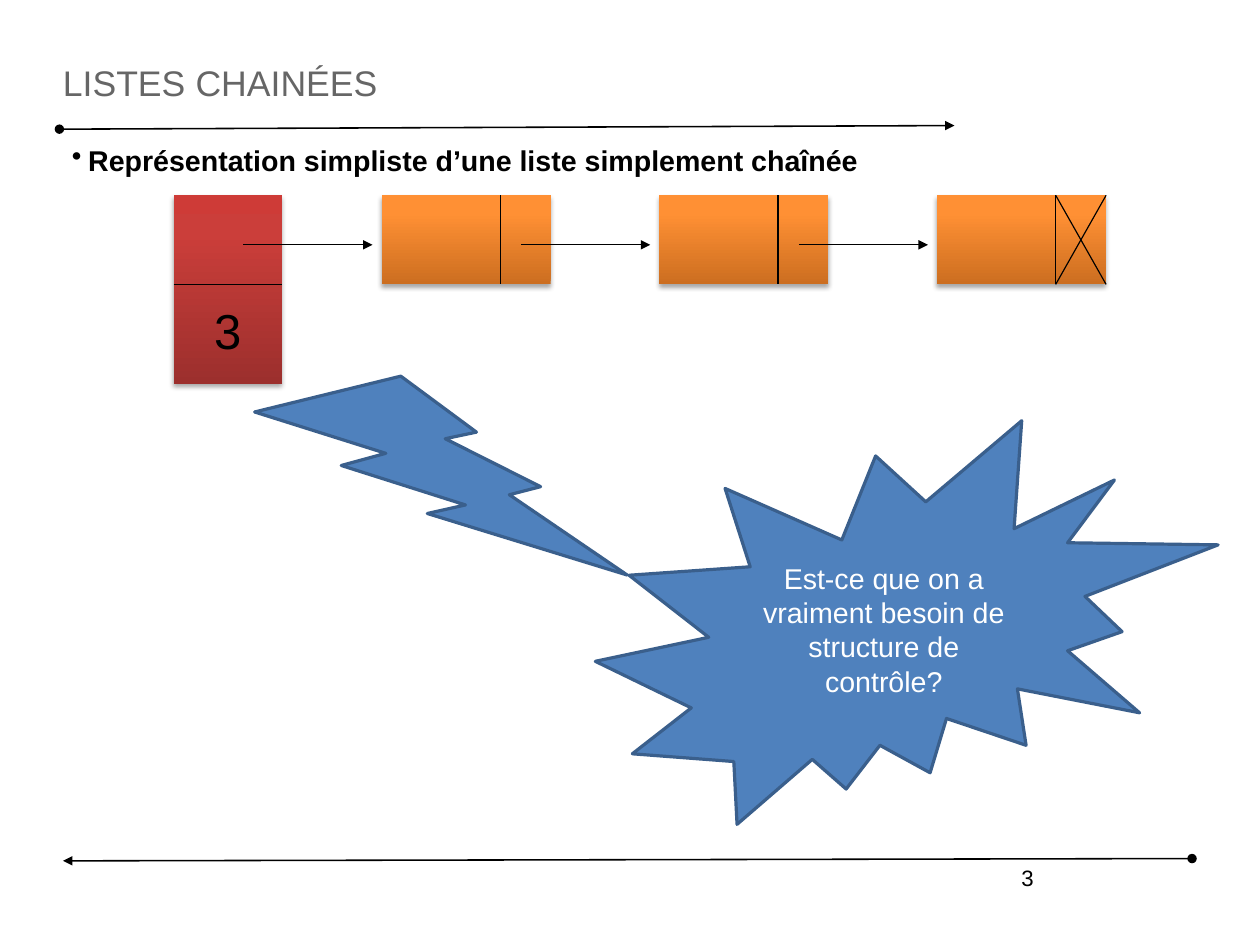
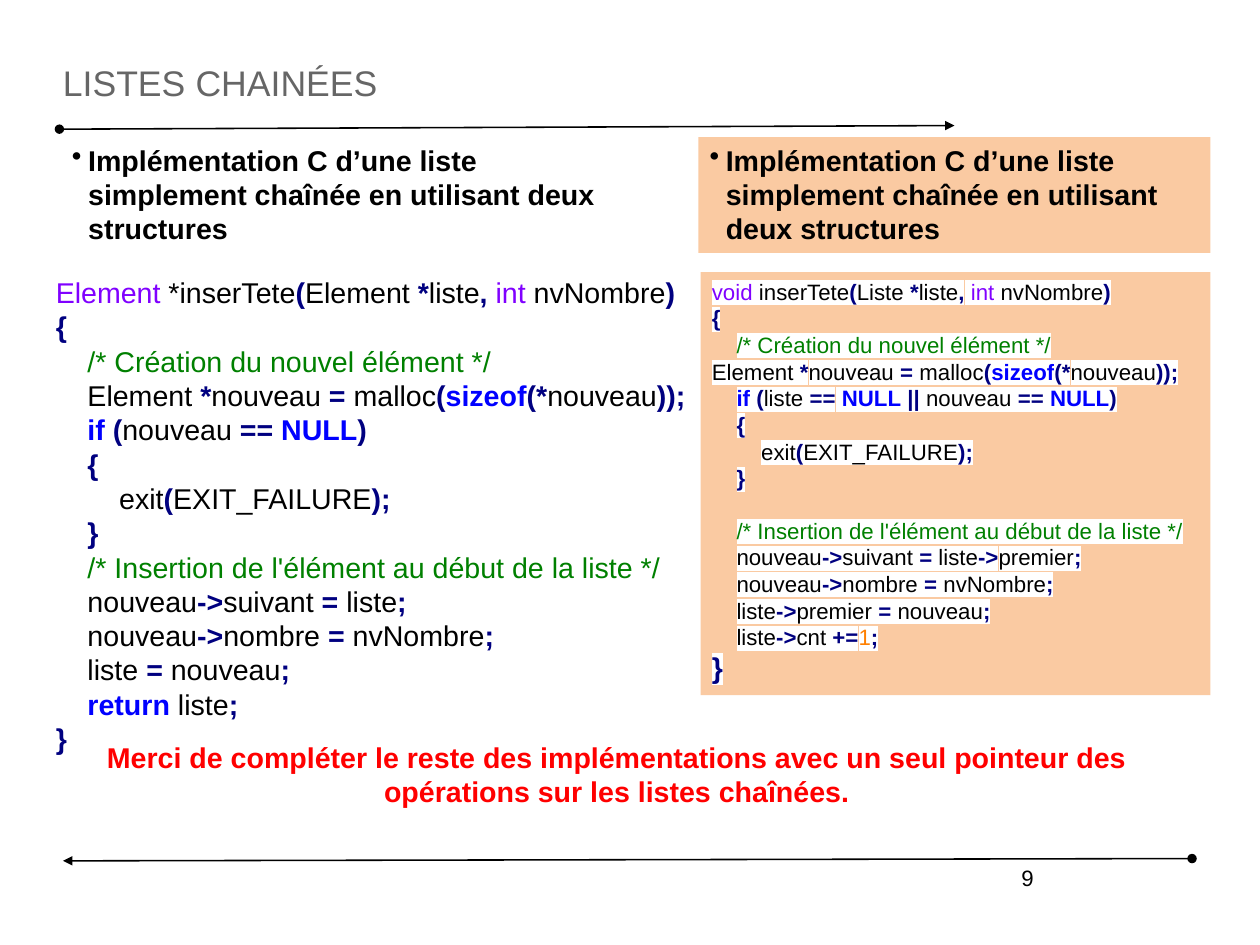
import copy
import itertools

import lxml.etree
import pptx
import pptx.dml.color
import pptx.enum.shapes
import pptx.enum.text
import pptx.oxml.ns
import pptx.util

Cm, Pt = pptx.util.Cm, pptx.util.Pt
hue = pptx.dml.color.RGBColor.from_string
qn = pptx.oxml.ns.qn
add = lxml.etree.SubElement
Kind = pptx.enum.shapes.MSO_SHAPE
Align = pptx.enum.text.PP_ALIGN
Anchor = pptx.enum.text.MSO_ANCHOR

FONT = "Arial"
BLACK, WHITE, GREY, RED = "000000", "FFFFFF", "666666", "FF0000"
BLUE, EDGE, PEACH = "4F81BD", "3A5F8C", "F79646"
TYPE, WORD, SIGN, NOTE, DIGIT = "8000FF", "0000FF", "000080", "008000", "FF8000"


def rule(page, ends, width=0.75, head=None, tail=None):
    """Draw a straight black line; ends is x1, y1, x2, y2 in cm."""
    line = page.shapes.add_connector(
        pptx.enum.shapes.MSO_CONNECTOR.STRAIGHT, *map(Cm, ends))
    line.line.width = Pt(width)
    line.line.color.rgb = hue(BLACK)
    props = line._element.spPr
    for tag, tip in (("a:headEnd", head), ("a:tailEnd", tail)):
        if tip:
            add(props.find(qn("a:ln")), qn(tag), type=tip)
    add(props, qn("a:effectLst"))


def write(shape, text, size, color=BLACK, bold=False, align=Align.LEFT):
    """Fill a shape with one wrapped paragraph and return that paragraph."""
    frame = shape.text_frame
    frame.text = text
    frame.word_wrap = True
    para = frame.paragraphs[0]
    para.alignment = align
    font = para.runs[0].font
    font.name, font.size, font.bold = FONT, Pt(size), bold
    font.color.rgb = hue(color)
    return para


deck = pptx.Presentation()
deck.slide_width, deck.slide_height = Cm(28), Cm(21)

# Shared title, rules and page number
pages = []
for number in ("3", "9"):
    page = deck.slides.add_slide(deck.slide_layouts[6])
    pages.append(page)
    rule(page, (1.32, 2.87, 21.21, 2.79), 1, "oval", "triangle")
    rule(page, (26.49, 19.08, 1.4, 19.13), 1, "oval", "triangle")
    box = page.shapes.add_textbox(Cm(16.69), Cm(19.08), Cm(6.53), Cm(1.45))
    write(box, number, 14, align=Align.RIGHT)
    box = page.shapes.add_textbox(Cm(1.4), Cm(0.84), Cm(25.2), Cm(1.83))
    title = write(box, "listes chainées", 28, GREY)
    title.runs[0].font._element.set("cap", "small")
    frame = box.text_frame
    frame.vertical_anchor = Anchor.MIDDLE
    frame.margin_left = frame.margin_right = 0
    frame.margin_top = frame.margin_bottom = 0
draw, code = pages

# Bulleted headings
both = "Implémentation C d’une liste simplement chaînée en utilisant deux structures"
heads = (
    (draw, 1.35, 25.12, 1.02, None,
     "Représentation simpliste d’une liste simplement chaînée"),
    (code, 1.35, 12.9, 2.57, None, both),
    (code, 15.52, 11.38, 2.57, PEACH, both),
)
for page, left, width, high, fill, text in heads:
    box = page.shapes.add_textbox(Cm(left), Cm(3.05), Cm(width), Cm(high))
    if fill:
        box.fill.solid()
        box.fill.fore_color.rgb = hue(fill)
        tint = box._element.spPr.find(".//" + qn("a:srgbClr"))
        add(tint, qn("a:alpha"), val="50000")
    props = write(box, text, 18, bold=True)._p.get_or_add_pPr()
    props.set("marL", str(Cm(0.36)))
    props.set("indent", str(-Cm(0.36)))
    add(props, qn("a:buChar"), char="•")

# Linked list: control block, then three cells
TOP, HIGH, WIDE, PART = 4.34, 1.98, 3.76, 2.64
cells = [8.48 + 6.17 * i for i in range(3)]
reds = ("9C2F2D", "CB3E3A", "CE3B37")
oranges = ("CC6E20", "FF9034", "FF9136")
blocks = [(3.86, 2.41, 4.19, reds)]
blocks += [(x, WIDE, HIGH, oranges) for x in cells]
for left, width, high, tones in blocks:
    box = draw.shapes.add_shape(
        Kind.RECTANGLE, Cm(left), Cm(TOP), Cm(width), Cm(high))
    box.line.fill.background()
    box.fill.gradient()
    box.fill.gradient_angle = 90
    props = box._element.spPr
    stops = props.find(".//" + qn("a:gsLst"))
    stops.append(copy.deepcopy(stops[0]))
    for stop, tone, place in zip(box.fill.gradient_stops, tones, (0, 0.8, 1)):
        stop.color.rgb = hue(tone)
        stop.position = place
    box.shadow.inherit = False
    shade = add(props.find(qn("a:effectLst")), qn("a:outerShdw"),
                blurRad=str(Pt(3.1)), dist=str(Pt(1.8)), dir="5400000",
                rotWithShape="0")
    add(add(shade, qn("a:srgbClr"), val=BLACK), qn("a:alpha"), val="35000")

low = TOP + HIGH
rule(draw, (3.86, low, 6.27, low))
for x in cells:
    rule(draw, (x + PART, TOP, x + PART, low))
    rule(draw, (x - 3.07, 5.44, x - 0.2, 5.44), tail="triangle")
start, end = cells[-1] + PART, cells[-1] + WIDE
rule(draw, (start, low, end, TOP))
rule(draw, (start, TOP, end, low))
box = draw.shapes.add_textbox(Cm(4.52), Cm(6.55), Cm(1.32), Cm(1.57))
write(box, "3", 30.9)

# Question burst and its bolt
bursts = (
    (Kind.EXPLOSION2, 13.23, 9.35, 13.84, 8.97,
     "Est-ce que on a vraiment besoin de structure de contrôle?"),
    (Kind.LIGHTNING_BOLT, 5.66, 8.36, 8.28, 4.42, None),
)
for kind, *place, text in bursts:
    burst = draw.shapes.add_shape(kind, *map(Cm, place))
    burst.shadow.inherit = False
    burst.fill.solid()
    burst.fill.fore_color.rgb = hue(BLUE)
    burst.line.color.rgb = hue(EDGE)
    burst.line.width = Pt(2)
    if text:
        write(burst, text, 18, WHITE, align=Align.CENTER)
        burst.text_frame.vertical_anchor = Anchor.MIDDLE

# Code listings
single = """Element *inserTete(Element *liste, int nvNombre)
{
    /* Création du nouvel élément */
    Element *nouveau = malloc(sizeof(*nouveau));
    if (nouveau == NULL)
    {
        exit(EXIT_FAILURE);
    }
    /* Insertion de l'élément au début de la liste */
    nouveau->suivant = liste;
    nouveau->nombre = nvNombre;
    liste = nouveau;
    return liste;
}"""
double = """void inserTete(Liste *liste, int nvNombre)
{
    /* Création du nouvel élément */
Element *nouveau = malloc(sizeof(*nouveau));
    if (liste == NULL || nouveau == NULL)
    {
        exit(EXIT_FAILURE);
    }

    /* Insertion de l'élément au début de la liste */
    nouveau->suivant = liste->premier;
    nouveau->nombre = nvNombre;
    liste->premier = nouveau;
    liste->cnt +=1;
}"""
lists = (
    (single, 18, None, (0.99, 5.99, 14.63, 11.02)),
    (double, 14, PEACH, (15.57, 6.05, 11.33, 9.4)),
)
for text, size, fill, place in lists:
    box = code.shapes.add_textbox(*map(Cm, place))
    if fill:
        box.fill.solid()
        box.fill.fore_color.rgb = hue(fill)
        tint = box._element.spPr.find(".//" + qn("a:srgbClr"))
        add(tint, qn("a:alpha"), val="50000")
    frame = box.text_frame
    frame.word_wrap = True
    rows = text.split("\n")
    gap = False
    for r, row in enumerate(rows):
        body = row.strip()
        if not body:
            gap = True
            continue
        para = frame.add_paragraph() if r else frame.paragraphs[0]
        if gap:
            para.space_before = Pt(size * 1.15)
            gap = False
        # Four spaces of Arial are 1.11 em wide
        depth = (len(row) - len(body)) // 4
        props = para._p.get_or_add_pPr()
        props.set("marL", str(Pt(depth * size * 1.11)))
        props.set("indent", "0")

        if body.startswith("/*"):
            parts = [body]
        else:
            groups = itertools.groupby(
                body, lambda c: "w" if c.isalnum() or c == "_" else c.isspace())
            parts = ["".join(g) for _, g in groups]
        for i, part in enumerate(parts):
            color, bold = BLACK, False
            if part.startswith("/*"):
                color = NOTE
            elif part == "int" or (r, i) == (0, 0) :
                color = TYPE
            elif part in ("if", "sizeof", "return", "NULL"):
                color, bold = WORD, True
            elif part.isdigit():
                color = DIGIT
            elif (r, i) != (0, 2) and not (part[0].isalnum() or part.isspace()):
                color, bold = SIGN, True
            run = para.add_run()
            run.text = part
            font = run.font
            font.name, font.bold = FONT, bold
            font.size = Pt(18 if r == len(rows) - 1 else size)
            font.color.rgb = hue(color)
            if fill:
                mark = lxml.etree.Element(qn("a:highlight"))
                add(mark, qn("a:srgbClr"), val=WHITE)
                font._element.find(qn("a:solidFill")).addnext(mark)

box = code.shapes.add_textbox(Cm(2.01), Cm(16.31), Cm(23.39), Cm(1.8))
write(box, "Merci de compléter le reste des implémentations avec un seul pointeur "
      "des opérations sur les listes chaînées.", 18, RED, True, Align.CENTER)

deck.save("out.pptx")
